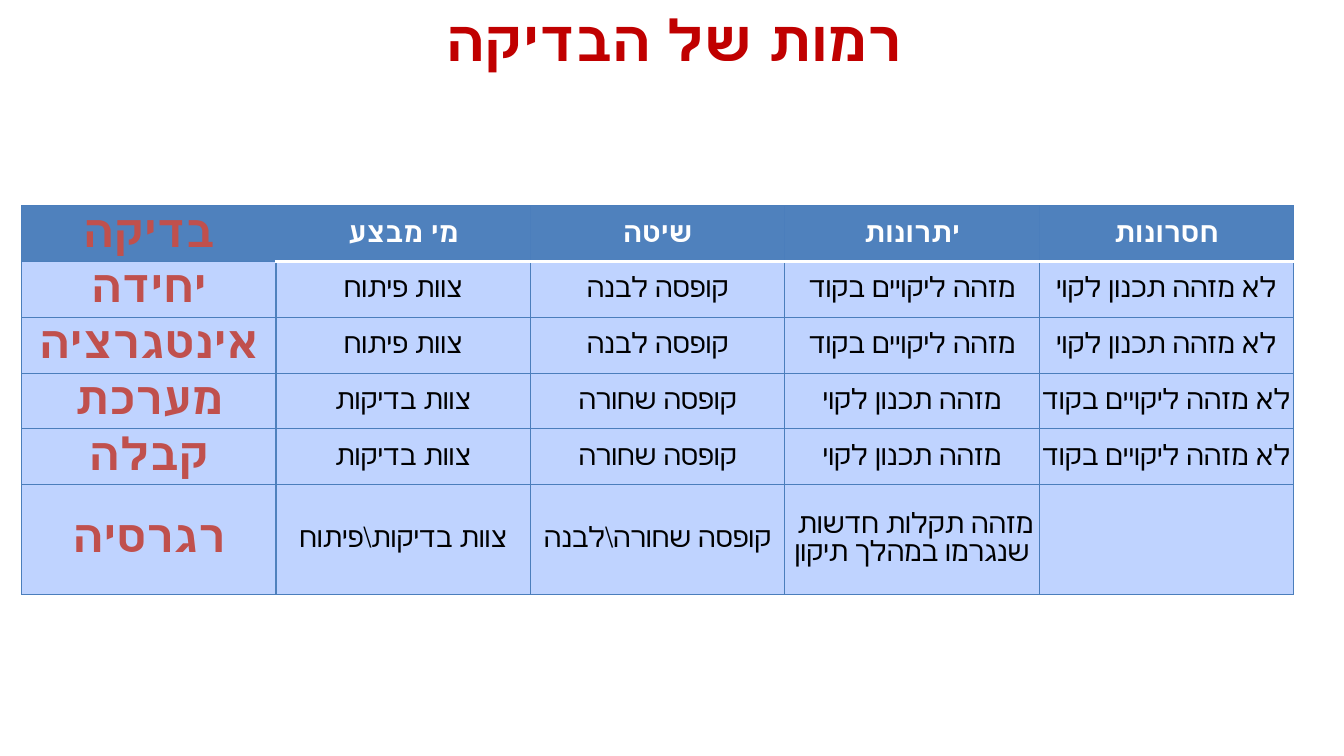
from lxml import etree
from pptx import Presentation
from pptx.dml.color import RGBColor
from pptx.enum.text import MSO_ANCHOR, PP_ALIGN
from pptx.oxml.ns import qn
from pptx.util import Pt

CENTER = PP_ALIGN.CENTER
MIDDLE = MSO_ANCHOR.MIDDLE

TITLE_FONT = "Calibri"
TABLE_FONT = "Times New Roman"
DARK_RED, RED, WHITE, BLACK = "C00000", "C0504D", "FFFFFF", "000000"
HEADER_BLUE, CELL_BLUE, GRID_BLUE = "4F81BD", "BFD3FF", "4B7EBC"

COLUMN_WIDTH = 181.7
HEIGHTS = [39.75] * 5 + [78.5]
GRID = (GRID_BLUE, 0.75)
HEADER_RULE = (WHITE, 2)
LEVEL_RULE = (HEADER_BLUE, 2)

LEVELS = [
    ["בדיקה", "מי מבצע", "שיטה", "יתרונות", "חסרונות"],
    ["יחידה", "צוות פיתוח", "קופסה לבנה", "מזהה ליקויים בקוד", "לא מזהה תכנון לקוי"],
    ["אינטגרציה", "צוות פיתוח", "קופסה לבנה", "מזהה ליקויים בקוד", "לא מזהה תכנון לקוי"],
    ["מערכת", "צוות בדיקות", "קופסה שחורה", "מזהה תכנון לקוי", "לא מזהה ליקויים בקוד"],
    ["קבלה", "צוות בדיקות", "קופסה שחורה", "מזהה תכנון לקוי", "לא מזהה ליקויים בקוד"],
    ["רגרסיה", "צוות בדיקות\\פיתוח", "קופסה שחורה\\לבנה",
     "מזהה תקלות חדשות \nשנגרמו במהלך תיקון", ""],
]


def rgb(color):
    return RGBColor.from_string(color)


def write_rtl(frame, text, font, size, color, bold):
    """Write centred right-to-left text, with a line break at each newline."""
    paragraph = frame.paragraphs[0]
    paragraph.alignment = CENTER
    paragraph._p.get_or_add_pPr().set("rtl", "1")
    for number, line in enumerate(text.split("\n")):
        if number:
            paragraph.add_line_break()
        run = paragraph.add_run()
        run.text = line
        run.font.name = font
        run.font.size = Pt(size)
        run.font.bold = bold
        run.font.color.rgb = rgb(color)
    return paragraph


def add_title(slide, text):
    box = slide.shapes.add_textbox(Pt(134), Pt(0), Pt(720), Pt(56))
    box.text_frame.word_wrap = True
    box.text_frame.vertical_anchor = MIDDLE
    paragraph = write_rtl(box.text_frame, text, TITLE_FONT, 40.6, DARK_RED, True)
    paragraph.level = 1
    paragraph._p.get_or_add_pPr().set("marL", str(Pt(36)))


def set_borders(cell, left, right, top, bottom):
    properties = cell._tc.get_or_add_tcPr()
    edges = {"a:lnL": left, "a:lnR": right, "a:lnT": top, "a:lnB": bottom}
    for tag, (color, width) in edges.items():
        line = etree.SubElement(properties, qn(tag), w=str(Pt(width)))
        fill = etree.SubElement(line, qn("a:solidFill"))
        etree.SubElement(fill, qn("a:srgbClr"), val=color)


def fill_cell(cell, row, column, text):
    is_header, is_level = row == 0, column == 0
    set_borders(
        cell,
        left=LEVEL_RULE if column == 1 else GRID,
        right=LEVEL_RULE if is_level else GRID,
        top=HEADER_RULE if row == 1 and not is_level else GRID,
        bottom=HEADER_RULE if is_header and not is_level else GRID,
    )
    cell.fill.solid()
    cell.fill.fore_color.rgb = rgb(HEADER_BLUE if is_header else CELL_BLUE)
    cell.margin_left = cell.margin_right = Pt(0.7)
    cell.margin_top = cell.margin_bottom = Pt(0.7)
    cell.vertical_anchor = MIDDLE
    if text:
        size = 32 if is_level else 20
        color = RED if is_level else WHITE if is_header else BLACK
        write_rtl(cell.text_frame, text, TABLE_FONT, size, color, is_header or is_level)


def add_levels_table(slide, levels):
    columns = len(levels[0])
    table = slide.shapes.add_table(
        len(levels), columns, Pt(15.6), Pt(147),
        Pt(COLUMN_WIDTH * columns), Pt(sum(HEIGHTS)),
    ).table
    for table_column in table.columns:
        table_column.width = Pt(COLUMN_WIDTH)
    for row, (height, texts) in enumerate(zip(HEIGHTS, levels)):
        table.rows[row].height = Pt(height)
        for column, text in enumerate(texts):
            fill_cell(table.cell(row, column), row, column, text)


def main():
    presentation = Presentation()
    presentation.slide_width = Pt(960)
    presentation.slide_height = Pt(540)
    slide = presentation.slides.add_slide(presentation.slide_layouts[6])
    add_title(slide, "רמות של הבדיקה ")
    add_levels_table(slide, LEVELS)
    presentation.save("out.pptx")


if __name__ == "__main__":
    main()
